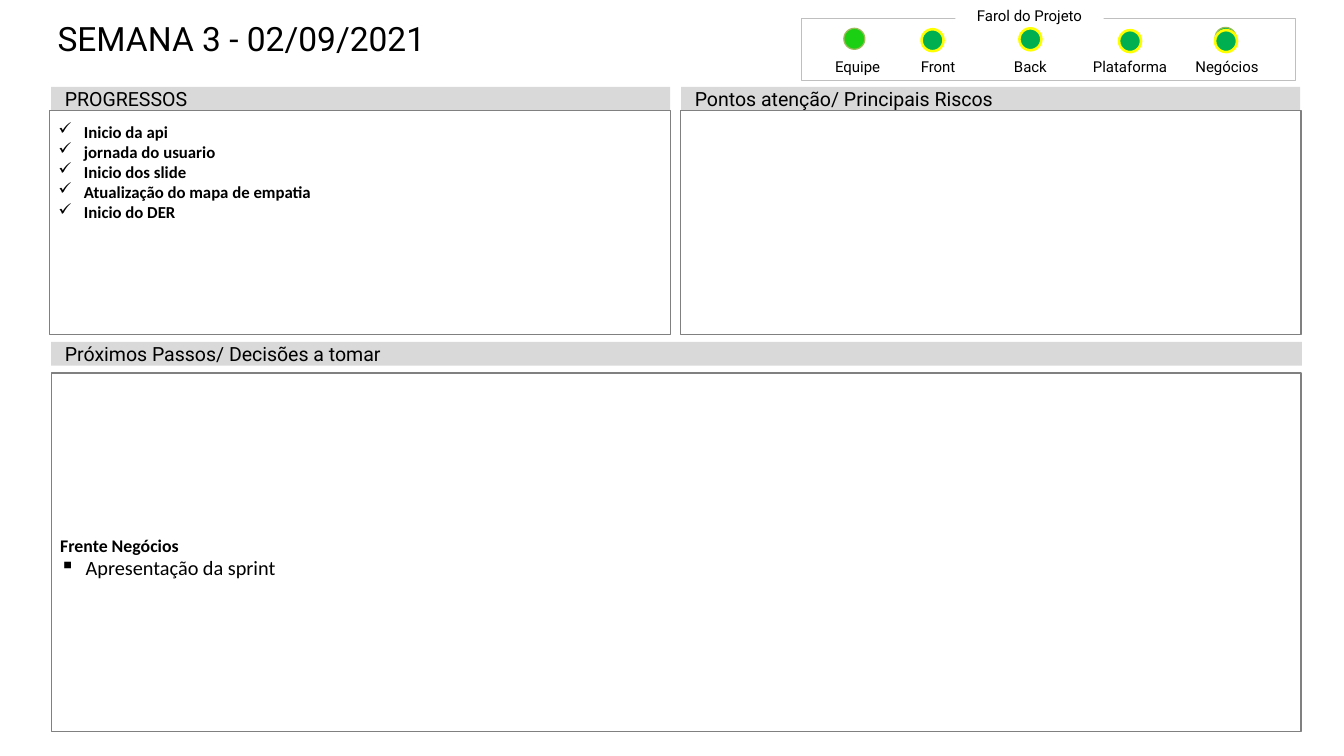
import pptx
import pptx.dml.color
import pptx.enum.shapes
import pptx.enum.text
import pptx.oxml.ns
import pptx.util
from lxml import etree
from pptx.util import Inches

BLACK = pptx.dml.color.RGBColor(0x00, 0x00, 0x00)
WHITE = pptx.dml.color.RGBColor(0xFF, 0xFF, 0xFF)
HEADER_GRAY = pptx.dml.color.RGBColor(0xD9, 0xD9, 0xD9)
PANEL_GRAY = pptx.dml.color.RGBColor(0x80, 0x80, 0x80)
FRAME_GRAY = pptx.dml.color.RGBColor(0xBF, 0xBF, 0xBF)
GREEN = pptx.dml.color.RGBColor(0x00, 0xB0, 0x50)
BRIGHT_GREEN = pptx.dml.color.RGBColor(0x1B, 0xCF, 0x13)
OLIVE = pptx.dml.color.RGBColor(0x9B, 0xBB, 0x59)
YELLOW = pptx.dml.color.RGBColor(0xFF, 0xFF, 0x00)

RECTANGLE = pptx.enum.shapes.MSO_SHAPE.RECTANGLE
OVAL = pptx.enum.shapes.MSO_SHAPE.OVAL
TOP = pptx.enum.text.MSO_ANCHOR.TOP
MIDDLE = pptx.enum.text.MSO_ANCHOR.MIDDLE
BOTTOM = pptx.enum.text.MSO_ANCHOR.BOTTOM
LEFT = pptx.enum.text.PP_ALIGN.LEFT
CENTER = pptx.enum.text.PP_ALIGN.CENTER

presentation = pptx.Presentation()
presentation.slide_width = Inches(14.7)
presentation.slide_height = Inches(8.27)
slide = presentation.slides.add_slide(presentation.slide_layouts[6])


def add_box(kind, left, top, width, height, fill=None, line=None, line_width=1):
    shape = slide.shapes.add_shape(
        kind, Inches(left), Inches(top), Inches(width), Inches(height))
    shape.shadow.inherit = False
    if fill is None:
        shape.fill.background()
    else:
        shape.fill.solid()
        shape.fill.fore_color.rgb = fill
    if line is None:
        shape.line.fill.background()
    else:
        shape.line.color.rgb = line
        shape.line.width = pptx.util.Pt(line_width)
    return shape


def write_text(shape, text, size=13.2, font="Roboto", bold=False, bullet=None,
               align=LEFT, anchor=TOP, insets=(0.1, 0.12, 0.1, 0.05), wrap=True):
    """Write text in the shape, after any paragraph that is already there."""
    frame = shape.text_frame
    frame.word_wrap = wrap
    frame.vertical_anchor = anchor
    (frame.margin_left, frame.margin_top,
     frame.margin_right, frame.margin_bottom) = map(Inches, insets)
    paragraph = frame.add_paragraph() if frame.text else frame.paragraphs[0]
    paragraph.text = text
    paragraph.alignment = align
    if bullet:
        properties = paragraph._p.get_or_add_pPr()
        properties.set("marL", str(Inches(0.28)))
        properties.set("indent", str(Inches(-0.28)))
        mark = etree.SubElement(properties, pptx.oxml.ns.qn("a:buChar"))
        mark.set("char", bullet)
    run_font = paragraph.runs[0].font
    run_font.name = font
    run_font.size = pptx.util.Pt(size)
    run_font.bold = bold
    run_font.color.rgb = BLACK


# Title
title = slide.shapes.add_textbox(Inches(0.51), Inches(0.2), Inches(8.2), Inches(0.7))
write_text(title, "SEMANA 3 - 02/09/2021", size=26.4, insets=(0.12, 0, 0.12, 0))

# Section headers
for heading, left, top, width in [
    ("PROGRESSOS", 0.56, 0.95, 6.77),
    ("Pontos atenção/ Principais Riscos", 7.45, 0.95, 6.77),
    ("Próximos Passos/ Decisões a tomar", 0.56, 3.74, 13.68),
]:
    header = add_box(RECTANGLE, left, top, width, 0.26, fill=HEADER_GRAY)
    write_text(header, heading, size=15.4, anchor=MIDDLE,
               insets=(0.15, 0.07, 0.15, 0.07))

# Section panels
progress_panel = add_box(RECTANGLE, 0.54, 1.21, 6.79, 2.45, line=PANEL_GRAY)
risk_panel = add_box(RECTANGLE, 7.44, 1.21, 6.79, 2.45, line=PANEL_GRAY)
next_steps_panel = add_box(RECTANGLE, 0.56, 4.08, 13.67, 3.92, line=PANEL_GRAY)

for item in ["Inicio da api", "jornada do usuario", "Inicio dos slide",
             "Atualização do mapa de empatia", "Inicio do DER"]:
    write_text(progress_panel, item, font="Calibri", bold=True, bullet="✓")

next_steps_format = dict(font="Calibri", anchor=MIDDLE, insets=(0.1, 0.16, 0.1, 0.05))
write_text(next_steps_panel, "Frente Negócios", size=14, bold=True, **next_steps_format)
write_text(next_steps_panel, "Apresentação da sprint", size=16, bullet="▪",
           **next_steps_format)

# Project status frame and its caption
label_format = dict(size=11.8, align=CENTER, anchor=BOTTOM,
                    insets=(0.06, 0.06, 0.06, 0), wrap=False)
add_box(RECTANGLE, 8.77, 0.2, 5.4, 0.68, line=FRAME_GRAY, line_width=0.5)
caption = add_box(RECTANGLE, 10.45, 0.04, 1.62, 0.23, fill=WHITE)
write_text(caption, "Farol do Projeto", **label_format)

# Status lights: the first and the last have an olive-edged light
add_box(OVAL, 9.23, 0.31, 0.23, 0.23, fill=BRIGHT_GREEN, line=OLIVE)
add_box(OVAL, 13.29, 0.3, 0.23, 0.23, fill=GREEN, line=OLIVE)
for left, top in [(10.08, 0.32), (11.15, 0.31), (12.24, 0.33), (13.29, 0.33)]:
    add_box(OVAL, left, top, 0.24, 0.24, fill=GREEN, line=YELLOW, line_width=2)

# Status labels
for name, left in [("Equipe", 8.89), ("Front", 9.77), ("Back", 10.78),
                   ("Plataforma", 11.87), ("Negócios", 12.93)]:
    label = slide.shapes.add_textbox(
        Inches(left), Inches(0.63), Inches(0.98), Inches(0.2))
    write_text(label, name, **label_format)

presentation.save("out.pptx")
